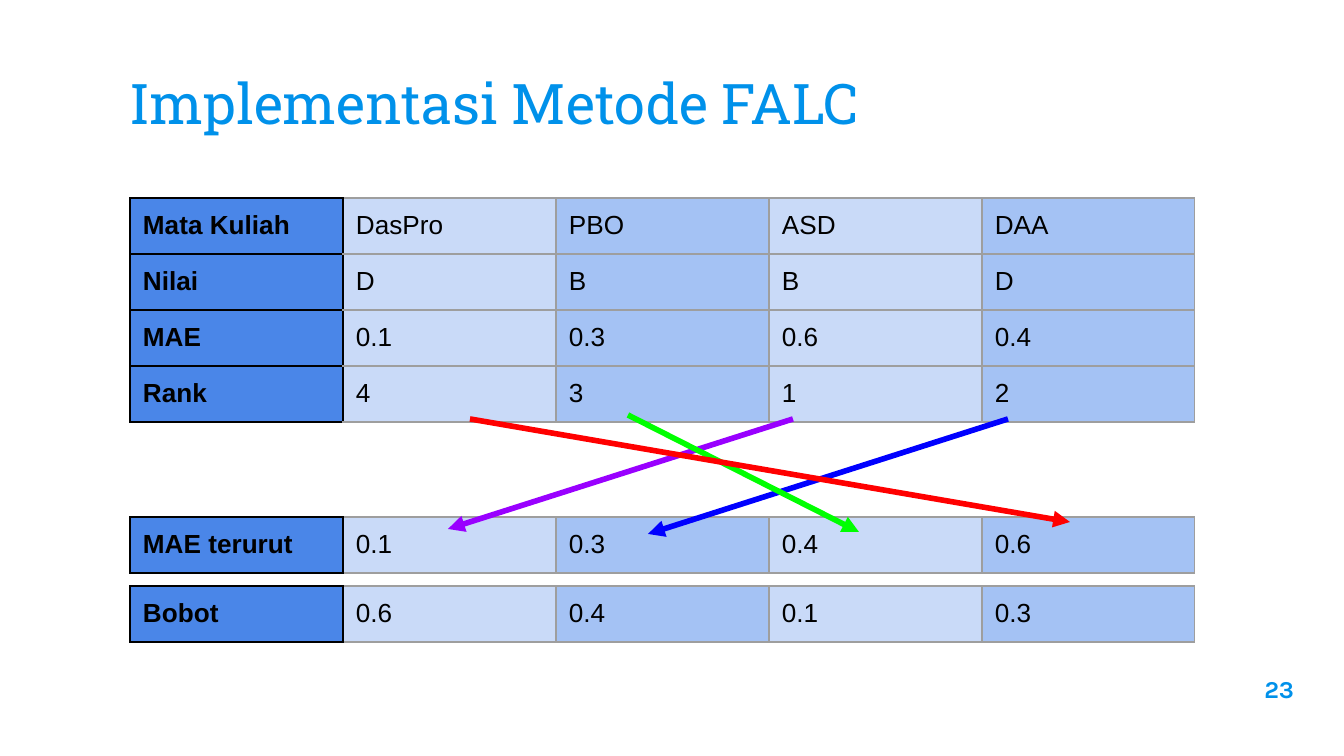
from pptx import Presentation
from pptx.dml.color import RGBColor
from pptx.enum.shapes import MSO_CONNECTOR
from pptx.enum.text import MSO_ANCHOR, MSO_AUTO_SIZE, PP_ALIGN
from pptx.oxml.ns import qn
from pptx.util import Pt
from lxml.etree import SubElement

PX = 914400 / 134.4
COLORS = {
    "accent": "0091EA", "text": "000000", "grid": "9E9E9E",
    "head": "4A86E8", "light": "C9DAF8", "mid": "A4C2F4",
    "purple": "9900FF", "blue": "0000FF", "green": "00FF00", "red": "FF0000",
}
TITLE = {"name": "Roboto Slab", "size": Pt(30), "bold": False}
NUMBER = {"name": "Karla", "size": Pt(13), "bold": True}
LEFT, COL_W, ROW_H = 130, 213, 56
INSET = 13


def px(*values):
    return [round(v * PX) for v in values]


def write(tf, text, color, style, align=PP_ALIGN.LEFT):
    """Fill a text frame with one formatted paragraph."""
    p = tf.paragraphs[0]
    p.alignment = align
    r = p.add_run()
    r.text = text
    r.font.color.rgb = RGBColor.from_string(COLORS[color])
    for name, value in style.items():
        setattr(r.font, name, value)


prs = Presentation()
prs.slide_width, prs.slide_height = px(1344, 756)
s = prs.slides.add_slide(prs.slide_layouts[5])

title = s.shapes.title
number = s.shapes.add_textbox(*px(1226, 661, 81, 58))
title.left, title.top, title.width, title.height = px(116, 46, 1113, 103)
for sp in (title, number):
    tf = sp.text_frame
    tf.word_wrap = True
    tf.auto_size = MSO_AUTO_SIZE.NONE
    for side in ("left", "top", "right", "bottom"):
        setattr(tf, f"margin_{side}", px(INSET)[0])
title.text_frame.vertical_anchor = MSO_ANCHOR.BOTTOM
write(title.text_frame, "Implementasi Metode FALC", "accent", TITLE)
write(number.text_frame, "23", "accent", NUMBER, PP_ALIGN.RIGHT)

# Tables: top edge and rows
tables = [
    (198, [
        ["Mata Kuliah", "DasPro", "PBO", "ASD", "DAA"],
        ["Nilai", "D", "B", "B", "D"],
        ["MAE", "0.1", "0.3", "0.6", "0.4"],
        ["Rank", "4", "3", "1", "2"],
    ]),
    (517, [["MAE terurut", "0.1", "0.3", "0.4", "0.6"]]),
    (586, [["Bobot", "0.6", "0.4", "0.1", "0.3"]]),
]
fills = ["head", "light", "mid", "light", "mid"]
for top, rows in tables:
    n = len(fills)
    frame = s.shapes.add_table(
        len(rows), n, *px(LEFT, top, n * COL_W, len(rows) * ROW_H))
    table = frame.table
    table.first_row = table.horz_banding = False
    for column in table.columns:
        column.width = px(COL_W)[0]
    for i, row in enumerate(rows):
        table.rows[i].height = px(ROW_H)[0]
        for j, text in enumerate(row):
            cell = table.cell(i, j)
            tcPr = cell._tc.get_or_add_tcPr()
            for edge in ("lnL", "lnR", "lnT", "lnB"):
                dark = j == 0 or (j == 1 and edge == "lnL")
                ln = SubElement(tcPr, qn(f"a:{edge}"), w=str(Pt(0.75)))
                fill = SubElement(ln, qn("a:solidFill"))
                SubElement(fill, qn("a:srgbClr"),
                           val=COLORS["text" if dark else "grid"])
            cell.fill.solid()
            cell.fill.fore_color.rgb = RGBColor.from_string(COLORS[fills[j]])
            for side in ("left", "top", "right", "bottom"):
                setattr(cell, f"margin_{side}", px(INSET)[0])
            style = {"name": "Arial", "size": Pt(14), "bold": j == 0}
            write(cell.text_frame, text, "text", style)

# Arrows from each rank to its sorted position
arrows = [
    ("purple", 793, 419, 448, 529),
    ("blue", 1008, 419, 648, 534),
    ("green", 628, 415, 859, 532),
    ("red", 470, 419, 1070, 522),
]
for color, *ends in arrows:
    arrow = s.shapes.add_connector(MSO_CONNECTOR.STRAIGHT, *px(*ends))
    arrow.line.color.rgb = RGBColor.from_string(COLORS[color])
    arrow.line.width = Pt(3)
    SubElement(arrow.line._get_or_add_ln(), qn("a:tailEnd"), type="triangle")
    SubElement(arrow._element.spPr, qn("a:effectLst"))

prs.save("out.pptx")
